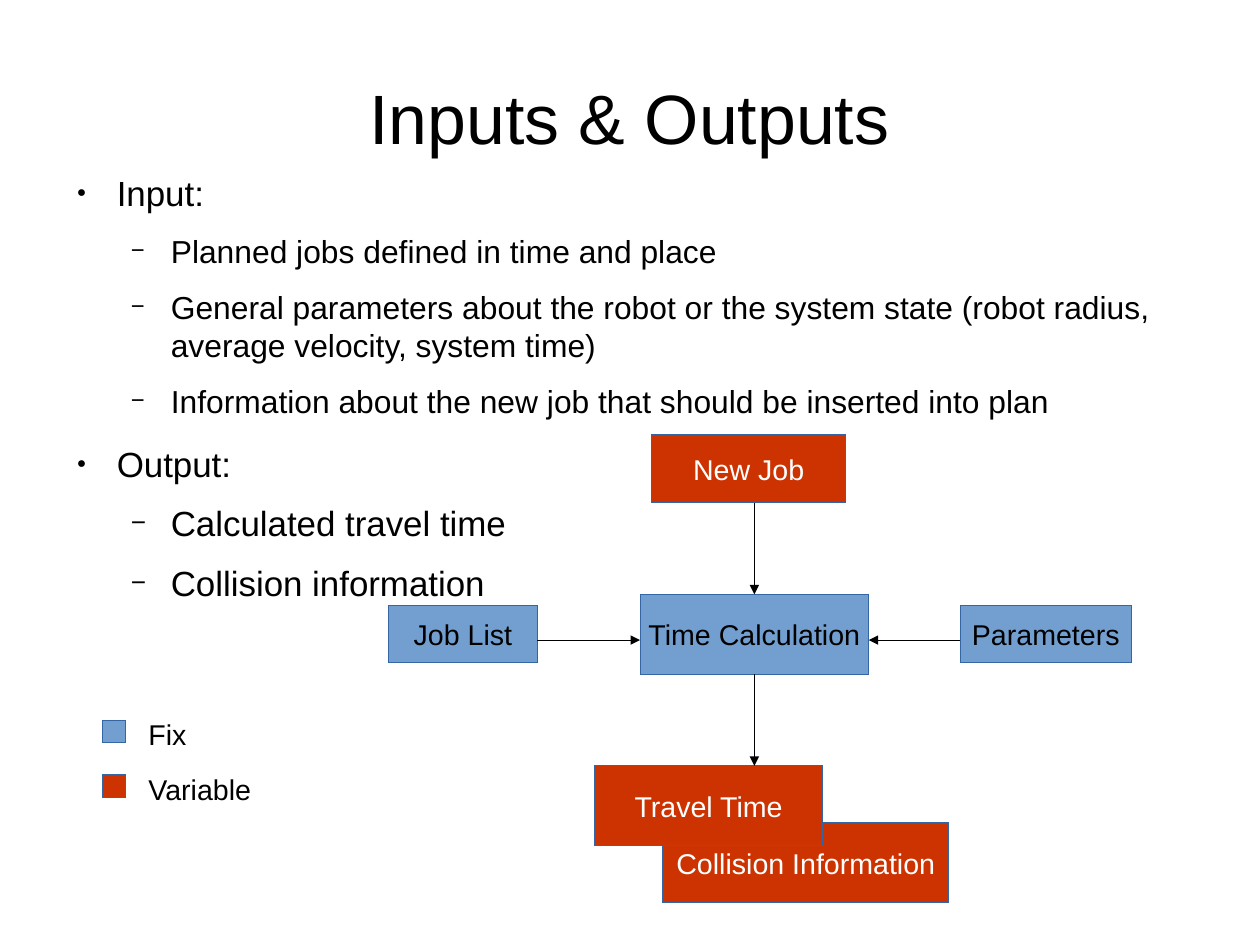
"""Build the Inputs & Outputs slide with its time calculation flow."""
from dataclasses import dataclass

from lxml import etree
from pptx import Presentation
from pptx.dml.color import RGBColor
from pptx.enum import shapes, text
from pptx.oxml import ns
from pptx.util import Pt


@dataclass(frozen=True)
class Theme:
    """Hold the colours, font and type sizes."""
    font: str = "Arial"
    black: str = "000000"
    white: str = "FFFFFF"
    fixed: str = "729FCF"
    varied: str = "CC3300"
    edge: str = "3465A4"
    title: int = 44
    head: int = 22
    item: int = 20
    label: int = 18


THEME = Theme()
LEVELS = (
    {"char": "●", "scale": "45000", "left": 34, "above": 14.2},
    {"char": "−", "scale": "75000", "left": 68, "above": 11.3},
)
HANG = -25.2
POINTS = (
    (0, THEME.head, "Input:"),
    (1, THEME.item, "Planned jobs defined in time and place"),
    (1, THEME.item, "General parameters about the robot or the system state "
                    "(robot radius, average velocity, system time)"),
    (1, THEME.item, "Information about the new job that should be inserted into plan"),
    (0, THEME.head, "Output:"),
    (1, THEME.head, "Calculated travel time"),
    (1, THEME.head, "Collision information"),
)
BACK = ("Collision Information", THEME.varied, (417.6, 518.4, 180, 50.4))
BOXES = (
    BACK,
    ("Time Calculation", THEME.fixed, (403.2, 374.4, 144, 50.4)),
    ("Job List", THEME.fixed, (244.8, 381.6, 93.6, 36)),
    ("Parameters", THEME.fixed, (604.8, 381.6, 108, 36)),
    ("New Job", THEME.varied, (410.4, 273.6, 122.4, 43.2)),
    ("Travel Time", THEME.varied, (374.4, 482.4, 144, 50.4)),
)
ARROWS = (
    (338.4, 403.2, 403.2, 403.2),
    (604.8, 403.2, 547.2, 403.2),
    (475.2, 316.8, 475.2, 374.4),
    (475.2, 424.8, 475.2, 482.4),
)
KEYS = (("Fix", THEME.fixed, 43.2), ("Variable", THEME.varied, 79.2))
KEY_TOP, KEY_STEP, KEY_SIDE = 453.6, 34.56, 14.4


def apply(thing, values):
    """Set each attribute in the dict on the thing."""
    for name, value in values.items():
        setattr(thing, name, value)


def rgb(code):
    """Turn a hex code into a colour."""
    return RGBColor.from_string(code)


def points(spots):
    """Turn numbers into lengths in points."""
    return [Pt(spot) for spot in spots]


def write(para, words, size, color=THEME.black, **form):
    """Put one formatted run into a paragraph."""
    apply(para, form)
    run = para.add_run()
    run.text = words
    apply(run.font, {"name": THEME.font, "size": Pt(size)})
    run.font.color.rgb = rgb(color)


def frame(shape, side=0, top=0, **form):
    """Set the margins and format of a text frame and return it."""
    apply(shape.text_frame, {
        "margin_left": Pt(side), "margin_right": Pt(side),
        "margin_top": Pt(top), "margin_bottom": Pt(top),
        "auto_size": text.MSO_AUTO_SIZE.NONE, **form})
    return shape.text_frame


def outline(shape, color):
    """Give a shape a hairline free of the theme style."""
    style = shape._element.find(ns.qn("p:style"))
    shape._element.remove(style)
    shape.line.color.rgb = rgb(color)
    shape.line._get_or_add_ln().set("w", "0")


def add_title(slide, words, place):
    """Move and fill the title placeholder."""
    title = slide.shapes.title
    apply(title, dict(zip(("left", "top", "width", "height"), points(place))))
    body = frame(title, vertical_anchor=text.MSO_ANCHOR.MIDDLE, word_wrap=True)
    write(body.paragraphs[0], words, THEME.title, alignment=text.PP_ALIGN.CENTER)


def add_mark(para, level):
    """Give a paragraph the indent and bullet of its level."""
    props = para._p.get_or_add_pPr()
    props.set("marL", str(Pt(level["left"])))
    props.set("indent", str(Pt(HANG)))
    tint = etree.SubElement(props, ns.qn("a:buClr"))
    etree.SubElement(tint, ns.qn("a:srgbClr"), val=THEME.black)
    etree.SubElement(props, ns.qn("a:buSzPct"), val=level["scale"])
    etree.SubElement(props, ns.qn("a:buFont"), typeface=THEME.font)
    etree.SubElement(props, ns.qn("a:buChar"), char=level["char"])


def add_list(slide, rows, place):
    """Add the bulleted list."""
    body = frame(slide.shapes.add_textbox(*points(place)), word_wrap=True)
    for spot, (depth, size, words) in enumerate(rows):
        para = body.add_paragraph() if spot else body.paragraphs[0]
        level = LEVELS[depth]
        write(para, words, size, level=depth, space_before=Pt(level["above"]))
        add_mark(para, level)


def add_box(slide, fill, place, words=""):
    """Add a filled box with an optional centred label."""
    box = slide.shapes.add_shape(shapes.MSO_SHAPE.RECTANGLE, *points(place))
    box.shadow.inherit = False
    box.fill.solid()
    box.fill.fore_color.rgb = rgb(fill)
    outline(box, THEME.edge)
    if words:
        body = frame(box, 7.2, 3.6, word_wrap=False,
                     vertical_anchor=text.MSO_ANCHOR.MIDDLE)
        color = THEME.white if fill == THEME.varied else THEME.black
        write(body.paragraphs[0], words, THEME.label, color,
              alignment=text.PP_ALIGN.CENTER)


def add_arrow(slide, ends):
    """Add a hairline arrow between two points."""
    arrow = slide.shapes.add_connector(shapes.MSO_CONNECTOR.STRAIGHT, *points(ends))
    outline(arrow, THEME.black)
    etree.SubElement(arrow.line._get_or_add_ln(), ns.qn("a:tailEnd"), type="triangle")
    etree.SubElement(arrow._element.spPr, ns.qn("a:effectLst"))


def add_key(slide, words, fill, top, width):
    """Add a legend swatch and its label."""
    add_box(slide, fill, (64.8, top, KEY_SIDE, KEY_SIDE))
    label = slide.shapes.add_textbox(*points((86.4, top - 5.76, width, 27.36)))
    body = frame(label, 7.2, 3.6, word_wrap=False)
    write(body.paragraphs[0], words, THEME.label)


def main():
    """Build and save the slide."""
    deck = Presentation()
    apply(deck, {"slide_width": Pt(793.7), "slide_height": Pt(595.28)})
    slide = deck.slides.add_slide(deck.slide_layouts.get_by_name("Title Only"))
    add_title(slide, "Inputs & Outputs", (39.6, 23.76, 714.24, 99.36))
    for words, fill, place in BOXES:
        add_box(slide, fill, place, words)
    for ends in ARROWS:
        add_arrow(slide, ends)
    add_list(slide, POINTS, (39.6, 108, 714.24, 344.88))
    for row, (words, fill, width) in enumerate(KEYS):
        add_key(slide, words, fill, KEY_TOP + row * KEY_STEP, width)
    deck.save("out.pptx")


if __name__ == "__main__":
    main()
